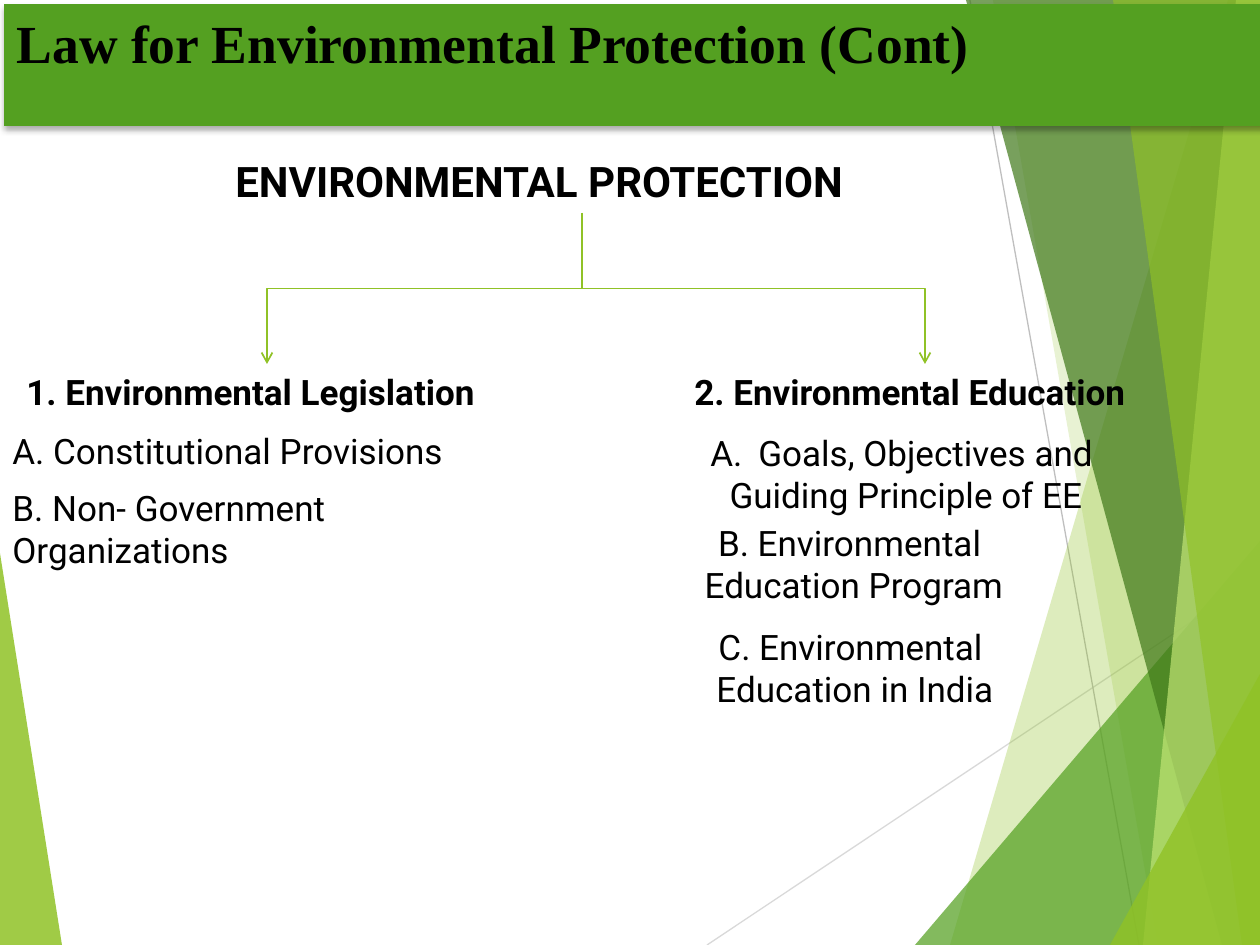
from pptx import Presentation
from pptx.dml.color import RGBColor
from pptx.enum.shapes import MSO_CONNECTOR as Connector
from pptx.enum.text import MSO_ANCHOR as Anchor, MSO_AUTO_SIZE as AutoSize, PP_ALIGN as Align
from pptx.oxml import parse_xml
from pptx.oxml.ns import nsdecls, qn
from pptx.util import Emu, Pt

SCALE = 914400 / 126  # EMU in one px
WIDTH, HEIGHT = 1260, 945
GREEN, LIME, BLACK = "54A021", "90C226", "000000"


def px(length):
    return Emu(round(length * SCALE))


def color(code):
    return RGBColor.from_string(code)


def element(tag, body="", **attributes):
    pairs = " ".join(f'{name}="{value}"' for name, value in attributes.items())
    return parse_xml(f"<a:{tag} {nsdecls('a')} {pairs}>{body}</a:{tag}>")


def write(frame, *lines, size=20, font="Roboto", bold=False, align=Align.LEFT):
    """Fill a text frame, one paragraph for each line."""
    frame.word_wrap = True
    frame.vertical_anchor = Anchor.TOP
    for index, line in enumerate(lines):
        para = frame.paragraphs[0] if index == 0 else frame.add_paragraph()
        para.text = line
        para.alignment = align
        for span in para.runs:
            span.font.size = Pt(size)
            span.font.name = font
            span.font.bold = bold
            span.font.color.rgb = color(BLACK)


class SlideBuilder:
    def __init__(self, page):
        self.page = page
        self.shapes = page.shapes

    def panel(self, points, fill, opacity):
        builder = self.shapes.build_freeform(*points[0], scale=SCALE)
        builder.add_line_segments(points[1:], close=True)
        shape = builder.convert_to_shape()
        shape.shadow.inherit = False
        shape.line.fill.background()
        shape.fill.solid()
        shape.fill.fore_color.rgb = color(fill)
        shape.element.spPr.find(f".//{qn('a:srgbClr')}").append(
            element("alpha", val=opacity * 1000))

    def line(self, start, end, stroke, weight=0.75, kind=Connector.STRAIGHT):
        connector = self.shapes.add_connector(kind, *map(px, start + end))
        connector.line.color.rgb = color(stroke)
        connector.line.width = Pt(weight)
        connector.element.spPr.append(element("effectLst"))
        return connector

    def branch(self, start, end):
        """Elbow arrow that leaves downwards: a sideways elbow, turned."""
        (x1, y1), (x2, y2) = start, end
        center_x, center_y = (x1 + x2) / 2, (y1 + y2) / 2
        half_width, half_height = (y2 - y1) / 2, abs(x2 - x1) / 2
        side = 1 if x2 < x1 else -1
        arrow = self.line(
            (center_x - side * half_width, center_y - half_height),
            (center_x + side * half_width, center_y + half_height),
            LIME, 1, Connector.ELBOW)
        properties = arrow.element.spPr
        properties.find(qn("a:xfrm")).set("rot", str((90 if side > 0 else 270) * 60000))
        properties.find(qn("a:ln")).append(element("tailEnd", type="arrow"))

    def text(self, left, top, width, height, *lines, **style):
        box = self.shapes.add_textbox(*map(px, (left, top, width, height)))
        write(box.text_frame, *lines, **style)
        return box.text_frame

    def title(self, left, top, width, height, line, **style):
        title = self.shapes.title
        title.left, title.top, title.width, title.height = map(px, (left, top, width, height))
        title.fill.solid()
        title.fill.fore_color.rgb = color(GREEN)
        title.text_frame.auto_size = AutoSize.NONE
        write(title.text_frame, line, **style)
        title.element.spPr.append(element(
            "effectLst",
            '<a:outerShdw blurRad="44450" dist="27940" dir="5400000" rotWithShape="0">'
            '<a:srgbClr val="000000"><a:alpha val="32000"/></a:srgbClr></a:outerShdw>'))
        # Bring the banner in front of the panels
        title.element.getparent().append(title.element)


def main():
    deck = Presentation()
    deck.slide_width, deck.slide_height = px(WIDTH), px(HEIGHT)
    slide = SlideBuilder(deck.slides.add_slide(deck.slide_layouts[5]))

    # Background: left wedge, thin lines, right-hand panels
    slide.panel([(0, 553), (62, HEIGHT), (0, HEIGHT)], LIME, 85)
    slide.line((707, HEIGHT), (WIDTH, 576), "D9D9D9")
    slide.line((970, 0), (1139, HEIGHT), "BFBFBF")
    right_panels = [  # top left x, top left y, bottom left x, top right y, fill, opacity
        (1228, 0, 950, 0, LIME, 30),
        (993, 0, 1158, 0, LIME, 20),
        (WIDTH, 541, 915, 541, GREEN, 72),
        (966, 0, 1222, 0, "3F7819", 70),
        (1236, 0, 1143, 0, "C0E474", 70),
        (1113, 0, 1242, 0, LIME, 65),
        (WIDTH, 674, 1110, 674, LIME, 80),
    ]
    for top_x, top_y, bottom_x, right_y, fill, opacity in right_panels:
        corners = [(top_x, top_y), (bottom_x, HEIGHT), (WIDTH, HEIGHT), (WIDTH, right_y)]
        slide.panel(corners, fill, opacity)

    # Headings and the branches between them
    slide.text(14, 364, 508, 55, "1. Environmental Legislation", bold=True)
    slide.text(682, 364, 486, 55, "2. Environmental Education", bold=True)
    slide.text(223, 149, 718, 63, "ENVIRONMENTAL PROTECTION", size=24, bold=True)
    for branch_x in (267, 925):
        slide.branch((582, 213), (branch_x, 364))

    # Legislation items
    slide.text(0, 423, 462, 55, "A. Constitutional Provisions")
    slide.text(0, 480, 509, 97, "B. Non- Government\vOrganizations")

    # Education items
    goals = slide.text(640, 425, 532, 97, "Goals, Objectives and ",
                       "Guiding Principle of EE", align=Align.CENTER)
    for para in goals.paragraphs:
        properties = para._p.get_or_add_pPr()
        properties.set("marL", str(px(48)))
        properties.set("indent", str(-px(48)))
    goals.paragraphs[0]._p.pPr.append(element("buAutoNum", type="alphaUcPeriod"))
    slide.text(621, 515, 466, 97, "B. Environmental ", "Education Program",
               align=Align.CENTER)
    slide.text(682, 619, 346, 97, "C. Environmental ", "Education in India",
               align=Align.CENTER)

    # Title banner
    slide.title(4, 4, 1270, 122, "Law for Environmental Protection (Cont)",
                size=30.6, font="Times New Roman", bold=True)

    deck.save("out.pptx")


if __name__ == "__main__":
    main()
